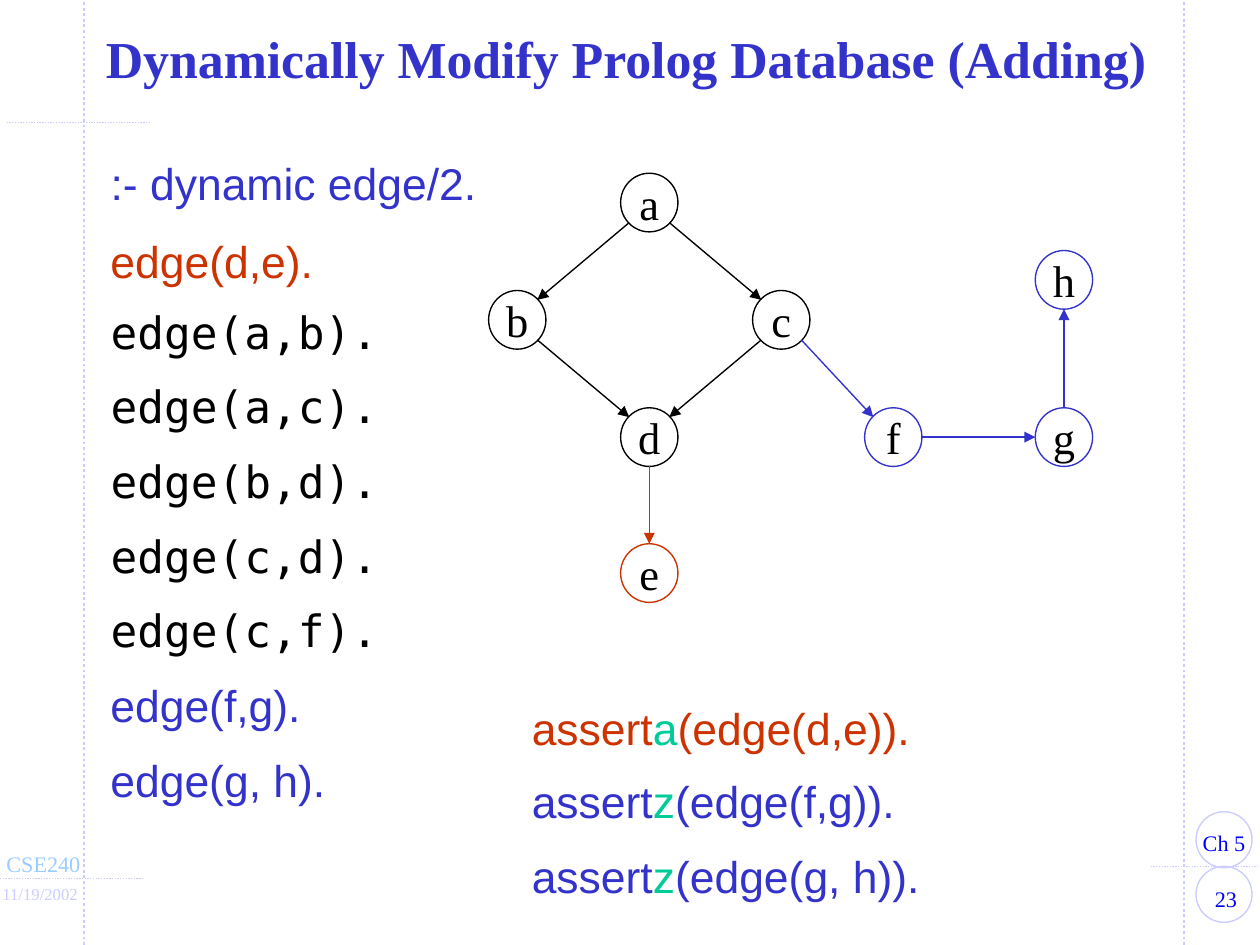
from lxml import etree
from pptx import Presentation
from pptx import util as u
from pptx.dml import color
from pptx.enum import dml, shapes, text
from pptx.oxml import ns

BLACK, WHITE = "000000", "FFFFFF"
BLUE, RED, GREEN = "3333CC", "CC3300", "00CC99"
PALE, SKY, LABEL = "CCCCFF", "99CCFF", "0000FF"
SERIF, SANS, MONO = "Times New Roman", "Arial", "DejaVu Sans Mono"
LINE_PITCH = u.Pt(40.3)
NODE_WIDTH, NODE_HEIGHT, DIAGONAL = 0.43, 0.44, 0.15

NODES = {
    "a": (4.87, 1.52, BLACK),
    "b": (3.88, 2.4, BLACK),
    "c": (5.86, 2.4, BLACK),
    "d": (4.87, 3.28, BLACK),
    "e": (4.87, 4.3, RED),
    "f": (6.7, 3.28, BLUE),
    "g": (7.98, 3.28, BLUE),
    "h": (7.98, 2.1, BLUE),
}
EDGES = [
    ("ab", BLACK), ("ac", BLACK), ("bd", BLACK), ("cd", BLACK),
    ("de", RED), ("cf", BLUE), ("fg", BLUE), ("gh", BLUE),
]


def rgb(value):
    return color.RGBColor.from_string(value)


def inches(*values):
    return [u.Inches(value) for value in values]


def move(box, at):
    box.left, box.top, box.width, box.height = inches(*at)


def add_run(para, words, shade, font, size):
    span = para.add_run()
    span.text = words
    span.font.name = font
    span.font.size = u.Pt(size)
    span.font.color.rgb = rgb(shade)
    return span


def add_line(page, start, end, shade, width=0.75, dotted=False, arrow=False):
    line = page.shapes.add_connector(
        shapes.MSO_CONNECTOR.STRAIGHT, *inches(*start, *end))
    line.line.color.rgb = rgb(shade)
    line.line.width = u.Pt(width)
    if dotted:
        line.line.dash_style = dml.MSO_LINE.ROUND_DOT
    if arrow:
        etree.SubElement(line.line._get_or_add_ln(), ns.qn("a:tailEnd"),
                         type="triangle")
    etree.SubElement(line._element.spPr, ns.qn("a:effectLst"))


def add_circle(page, at, shade, filled=False):
    circle = page.shapes.add_shape(shapes.MSO_SHAPE.OVAL, *inches(*at))
    circle.shadow.inherit = False
    if filled:
        circle.fill.solid()
        circle.fill.fore_color.rgb = rgb(WHITE)
    else:
        circle.fill.background()
    circle.line.color.rgb = rgb(shade)
    circle.line.width = u.Pt(0.75)
    return circle


def add_node(page, name):
    x, y, shade = NODES[name]
    at = (x - NODE_WIDTH / 2, y - NODE_HEIGHT / 2, NODE_WIDTH, NODE_HEIGHT)
    frame = add_circle(page, at, shade, filled=True).text_frame
    frame.word_wrap = False
    frame.vertical_anchor = text.MSO_ANCHOR.MIDDLE
    para = frame.paragraphs[0]
    para.alignment = text.PP_ALIGN.CENTER
    add_run(para, name, BLACK, SERIF, 24)


def sign(value):
    return (value > 0) - (value < 0)


def add_edge(page, pair, shade):
    (x1, y1, _), (x2, y2, _) = (NODES[name] for name in pair)
    across, down = sign(x2 - x1), sign(y2 - y1)
    if across and down:
        dx, dy = across * DIAGONAL, down * DIAGONAL
    else:
        dx, dy = across * NODE_WIDTH / 2, down * NODE_HEIGHT / 2
    add_line(page, (x1 + dx, y1 + dy), (x2 - dx, y2 - dy), shade, arrow=True)


def add_label(page, at, words, shade, size=12, align=text.PP_ALIGN.LEFT):
    box = page.shapes.add_textbox(*inches(*at))
    box.text_frame.word_wrap = False
    para = box.text_frame.paragraphs[0]
    para.alignment = align
    add_run(para, words, shade, SERIF, size)


def fill_code(frame, lines):
    frame.word_wrap = True
    frame.auto_size = text.MSO_AUTO_SIZE.NONE
    for index, (font, spans) in enumerate(lines):
        para = frame.add_paragraph() if index else frame.paragraphs[0]
        para.line_spacing = LINE_PITCH
        para.space_before = u.Pt(0)
        for words, shade in spans:
            add_run(para, words, shade, font, 24)


def add_code(page, at, lines):
    box = page.shapes.add_textbox(*inches(*at))
    fill_code(box.text_frame, [(SANS, spans) for spans in lines])


def add_frame(page):
    for x in (0.63, 8.88):
        add_line(page, (x, 7.09), (x, 0), PALE, 1.5, dotted=True)
    for left, right, y in ((0.05, 1.13, 0.92), (0, 1.08, 6.59), (8.63, 9.45, 6.5)):
        add_line(page, (left, y), (right, y), PALE, dotted=True)
    for top in (6.09, 6.5):
        add_circle(page, (8.97, top, 0.42, 0.42), PALE)
    add_label(page, (8.92, 6.17, 0.52, 0.3), "Ch 5", LABEL,
              align=text.PP_ALIGN.CENTER)
    add_label(page, (8.92, 6.59, 0.55, 0.3), "23", LABEL,
              align=text.PP_ALIGN.CENTER)
    add_label(page, (-0.05, 6.33, 0.76, 0.3), "CSE240", SKY)
    add_label(page, (-0.08, 6.58, 0.77, 0.25), "11/19/2002", PALE, 9)


def set_title(page):
    title = page.shapes.title
    move(title, (0.08, 0.14, 9.23, 0.66))
    frame = title.text_frame
    frame.auto_size = text.MSO_AUTO_SIZE.NONE
    frame.vertical_anchor = text.MSO_ANCHOR.MIDDLE
    para = frame.paragraphs[0]
    para.alignment = text.PP_ALIGN.CENTER
    para.line_spacing = 0.85
    span = add_run(para, "Dynamically Modify Prolog Database (Adding)",
                   BLUE, SERIF, 28)
    span.font.bold = True


def set_facts(page):
    body = page.placeholders[1]
    move(body, (0.73, 0.96, 4.17, 4.01))
    facts = [(MONO, [(f"edge({pair}).", BLACK)])
             for pair in ("a,b", "a,c", "b,d", "c,d", "c,f")]
    fill_code(body.text_frame, [(SANS, [(":- dynamic edge/2.", BLUE)])] + facts)
    for para in body.text_frame.paragraphs:
        props = para._p.get_or_add_pPr()
        props.set("marL", "0")
        props.set("indent", "0")
        etree.SubElement(props, ns.qn("a:buNone"))
    body.text_frame.paragraphs[1].space_before = LINE_PITCH


def call(letter, fact, shade):
    return [("assert", shade), (letter, GREEN), (f"({fact}).", shade)]


def main():
    deck = Presentation()
    deck.slide_width, deck.slide_height = inches(9.45, 7.09)
    page = deck.slides.add_slide(deck.slide_layouts[1])
    add_frame(page)
    set_title(page)
    set_facts(page)
    for name in NODES:
        add_node(page, name)
    for pair, shade in EDGES:
        add_edge(page, pair, shade)
    add_code(page, (0.73, 1.55, 1.92, 0.66), [[("edge(d,e).", RED)]])
    add_code(page, (0.73, 4.88, 1.83, 1.22),
             [[("edge(f,g).", BLUE)], [("edge(g, h).", BLUE)]])
    add_code(page, (3.89, 5.05, 3.42, 0.66), [call("a", "edge(d,e)", RED)])
    add_code(page, (3.89, 5.6, 3.42, 1.22),
             [call("z", "edge(f,g)", BLUE), call("z", "edge(g, h)", BLUE)])
    deck.save("out.pptx")


if __name__ == "__main__":
    main()
